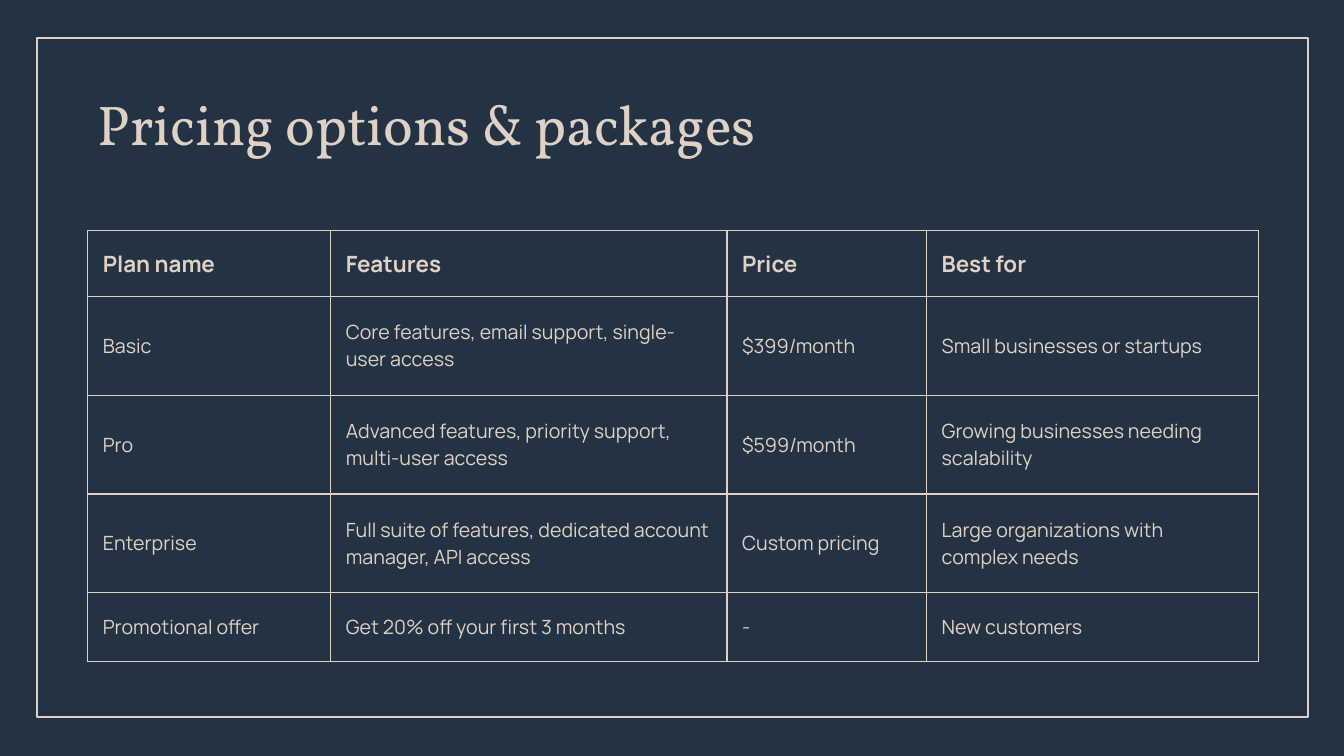
from dataclasses import dataclass

from lxml import etree
from pptx import Presentation
from pptx import util as u
from pptx.dml.color import RGBColor
from pptx.enum import shapes, text
from pptx.oxml.ns import qn

COLORS = {"navy": "233343", "sand": "DFD2C4"}
TITLE_FONT = "Vollkorn"
BODY_FONT = "Manrope"
BORDER_WIDTH = u.Pt(1)
COLUMN_WIDTHS = (2.41, 3.93, 1.98, 3.29)
ROW_HEIGHTS = (0.65, 0.98, 0.98, 0.98, 0.68)


@dataclass(frozen=True)
class Plan:
    name: str
    features: str
    price: str
    audience: str

    def values(self) -> tuple[str, ...]:
        return self.name, self.features, self.price, self.audience


HEADER = Plan("Plan name", "Features", "Price", "Best for")
PLANS = (
    Plan("Basic", "Core features, email support, single-user access",
         "$399/month", "Small businesses or startups"),
    Plan("Pro", "Advanced features, priority support, multi-user access",
         "$599/month", "Growing businesses needing scalability"),
    Plan("Enterprise", "Full suite of features, dedicated account manager, API access",
         "Custom pricing", "Large organizations with complex needs"),
    Plan("Promotional offer", "Get 20% off your first 3 months", "-", "New customers"),
)


def color(name: str) -> RGBColor:
    return RGBColor.from_string(COLORS[name])


def add_run(paragraph, words: str, font_name: str, size: float, bold: bool = False) -> None:
    run = paragraph.add_run()
    run.text = words
    run.font.name = font_name
    run.font.size = u.Pt(size)
    run.font.bold = bold
    run.font.color.rgb = color("sand")


def set_margins(box, margin: float) -> None:
    for side in ("left", "right", "top", "bottom"):
        setattr(box, f"margin_{side}", u.Inches(margin))


def format_title(title) -> None:
    title.left, title.top = u.Inches(0.87), u.Inches(0.92)
    title.width, title.height = u.Inches(11.61), u.Inches(1.2)
    frame = title.text_frame
    frame.word_wrap = True
    frame.auto_size = text.MSO_AUTO_SIZE.NONE
    frame.vertical_anchor = text.MSO_ANCHOR.TOP
    set_margins(frame, 0.1)
    paragraph = frame.paragraphs[0]
    paragraph.alignment = text.PP_ALIGN.LEFT
    paragraph.line_spacing = 0.8
    add_run(paragraph, "Pricing options & packages", TITLE_FONT, 40)


def add_border(slide) -> None:
    border = slide.shapes.add_shape(
        shapes.MSO_SHAPE.RECTANGLE,
        u.Inches(0.37), u.Inches(0.38), u.Inches(12.6), u.Inches(6.73))
    border.shadow.inherit = False
    border.fill.background()
    border.line.color.rgb = color("sand")
    border.line.width = u.Pt(1.5)
    slide.shapes.title.element.addprevious(border.element)


def add_cell_borders(cell) -> None:
    properties = cell._tc.get_or_add_tcPr()
    for side in ("lnL", "lnR", "lnT", "lnB"):
        line = etree.SubElement(properties, qn(f"a:{side}"), w=str(BORDER_WIDTH))
        fill = etree.SubElement(line, qn("a:solidFill"))
        etree.SubElement(fill, qn("a:srgbClr"), val=COLORS["sand"])


def fill_cell(cell, words: str, is_header: bool) -> None:
    set_margins(cell, 0.15)
    cell.vertical_anchor = text.MSO_ANCHOR.MIDDLE
    add_cell_borders(cell)
    cell.fill.background()
    paragraph = cell.text_frame.paragraphs[0]
    add_run(paragraph, words, BODY_FONT, 16 if is_header else 14, is_header)


def add_pricing_table(slide) -> None:
    rows = (HEADER, *PLANS)
    table = slide.shapes.add_table(
        len(rows), len(COLUMN_WIDTHS), u.Inches(0.87), u.Inches(2.29),
        u.Inches(sum(COLUMN_WIDTHS)), u.Inches(sum(ROW_HEIGHTS))).table
    table.horz_banding = False
    for column, width in zip(table.columns, COLUMN_WIDTHS):
        column.width = u.Inches(width)
    for row, height, plan in zip(table.rows, ROW_HEIGHTS, rows):
        row.height = u.Inches(height)
        for cell, words in zip(row.cells, plan.values()):
            fill_cell(cell, words, plan is HEADER)


def main() -> None:
    presentation = Presentation()
    presentation.slide_width = u.Inches(13.33)
    presentation.slide_height = u.Inches(7.5)
    slide = presentation.slides.add_slide(presentation.slide_layouts.get_by_name("Title Only"))
    slide.background.fill.solid()
    slide.background.fill.fore_color.rgb = color("navy")
    format_title(slide.shapes.title)
    add_border(slide)
    add_pricing_table(slide)
    presentation.save("out.pptx")


if __name__ == "__main__":
    main()
